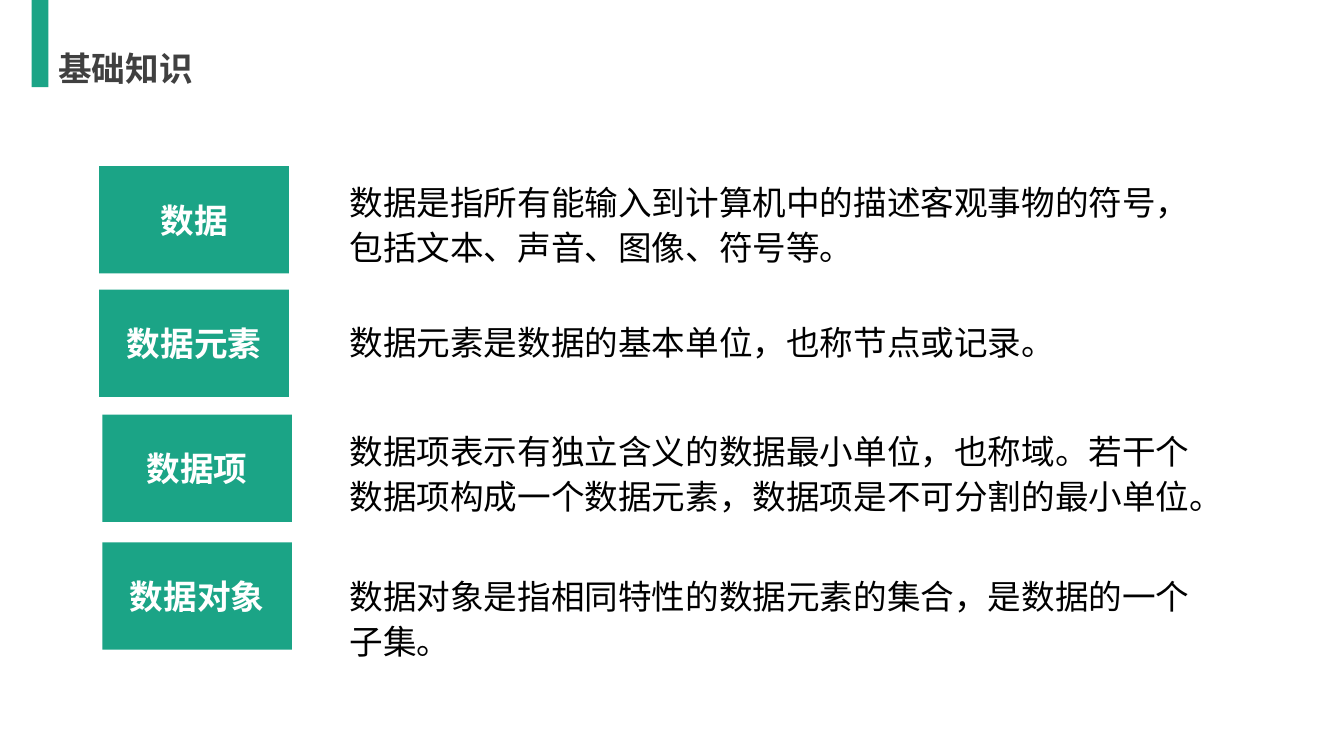
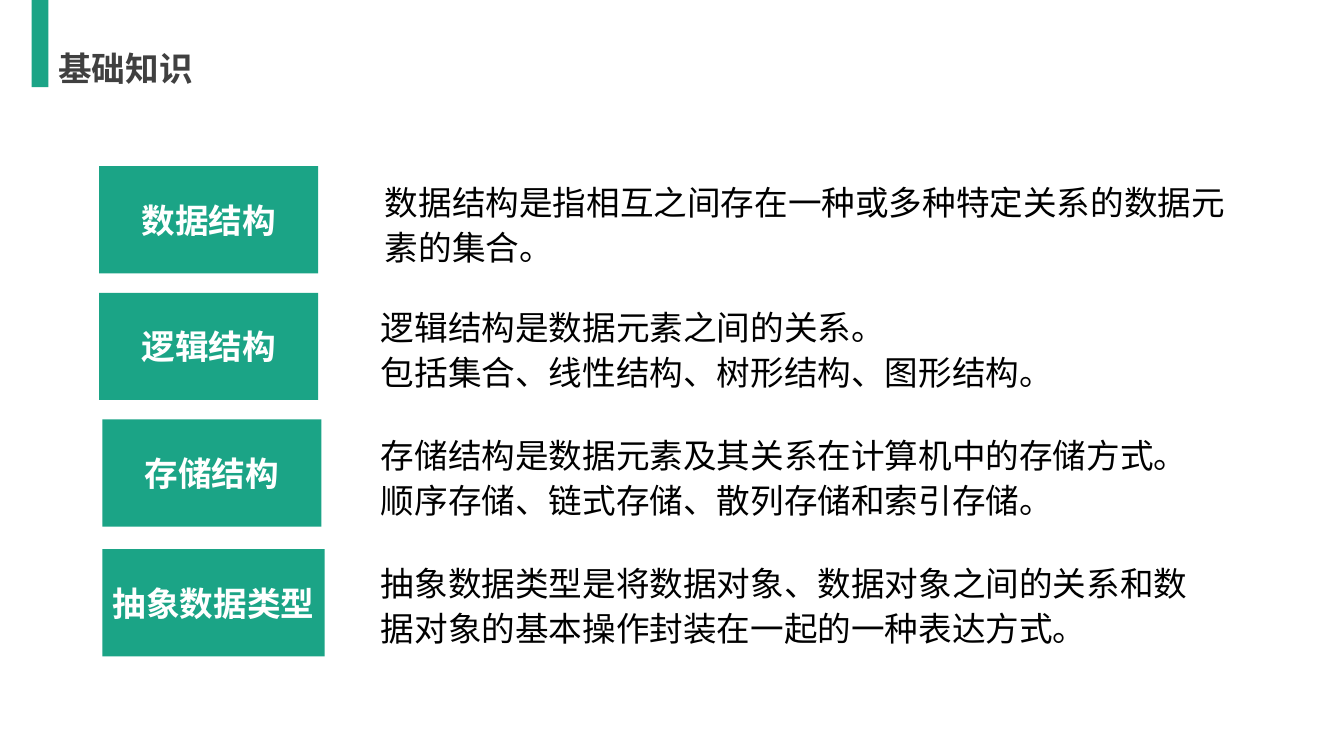
from collections import namedtuple

from lxml import etree
from pptx import Presentation
from pptx.dml.color import RGBColor
from pptx.enum.shapes import MSO_SHAPE
from pptx.enum.text import MSO_ANCHOR, MSO_AUTO_SIZE, PP_ALIGN
from pptx.oxml.ns import qn
from pptx.util import Cm, Pt

RECTANGLE = MSO_SHAPE.RECTANGLE
MIDDLE = MSO_ANCHOR.MIDDLE
CENTER = PP_ALIGN.CENTER
GROW = MSO_AUTO_SIZE.SHAPE_TO_FIT_TEXT

COLORS = {"green": "1BA486", "title": "404040", "text": "000000", "white": "FFFFFF"}
FONT = "Noto Sans CJK SC"
FONT_SIZE = Pt(24)
LINE_SPACING = Pt(32)
TAG_HEIGHT = 2.7
LINE_HEIGHT = 1.2

# Lengths in cm; a Term is one row: a green tag and its definition
Box = namedtuple("Box", "left top width")
Term = namedtuple("Term", "name tag definition lines paragraphs")

PAGES = [
    ("基础知识", [
        Term("数据", Box(2.5, 4.19, 4.78), Box(8.56, 4.34, 21.77), 2,
             ["数据是指所有能输入到计算机中的描述客观事物的符号，包括文本、声音、图像、符号等。"]),
        Term("数据元素", Box(2.5, 7.3, 4.78), Box(8.56, 7.87, 21.77), 1,
             ["数据元素是数据的基本单位，也称节点或记录。"]),
        Term("数据项", Box(2.58, 10.45, 4.78), Box(8.56, 10.62, 21.84), 2,
             ["数据项表示有独立含义的数据最小单位，也称域。若干个数据项构成一个数据元素，"
              "数据项是不可分割的最小单位。"]),
        Term("数据对象", Box(2.58, 13.67, 4.78), Box(8.56, 14.27, 21.84), 2,
             ["数据对象是指相同特性的数据元素的集合，是数据的一个子集。"]),
    ]),
    ("基础知识", [
        Term("数据结构", Box(2.5, 4.19, 5.52), Box(9.45, 4.34, 21.67), 2,
             ["数据结构是指相互之间存在一种或多种特定关系的数据元素的集合。"]),
        Term("逻辑结构", Box(2.5, 7.38, 5.52), Box(9.35, 7.49, 20.98), 2,
             ["逻辑结构是数据元素之间的关系。",
              "包括集合、线性结构、树形结构、图形结构。"]),
        Term("存储结构", Box(2.58, 10.57, 5.52), Box(9.35, 10.72, 21.06), 2,
             ["存储结构是数据元素及其关系在计算机中的存储方式。",
              "顺序存储、链式存储、散列存储和索引存储。"]),
        Term("抽象数据类型", Box(2.58, 13.84, 5.6), Box(9.35, 13.94, 21.06), 2,
             ["抽象数据类型是将数据对象、数据对象之间的关系和数据对象的基本操作"
              "封装在一起的一种表达方式。"]),
    ]),
]


def color(name):
    return RGBColor.from_string(COLORS[name])


def add_span(para, text, color_name, bold=False):
    span = para.add_run()
    span.text = text
    font = span.font
    font.size, font.bold, font.name = FONT_SIZE, bold, FONT
    font.color.rgb = color(color_name)
    # The East Asian typeface follows the Latin one
    latin = span._r.get_or_add_rPr().find(qn("a:latin"))
    east_asian = etree.Element(qn("a:ea"), typeface=FONT)
    latin.addnext(east_asian)


def add_rectangle(shapes, box, height):
    shape = shapes.add_shape(RECTANGLE, Cm(box.left), Cm(box.top),
                             Cm(box.width), Cm(height))
    shape.shadow.inherit = False
    shape.fill.solid()
    shape.fill.fore_color.rgb = color("green")
    shape.line.fill.background()
    return shape


def add_text_box(shapes, box, height, wrap):
    frame = shapes.add_textbox(Cm(box.left), Cm(box.top),
                               Cm(box.width), Cm(height)).text_frame
    frame.word_wrap = wrap
    frame.auto_size = GROW
    return frame


def add_header(page, title):
    # Green bar hanging from the top edge, with the title beside it
    add_rectangle(page.shapes, Box(0.8, 0, 0.42), 2.2)
    frame = add_text_box(page.shapes, Box(1.22, 1.08, 3.94), 1.28, wrap=False)
    add_span(frame.paragraphs[0], title, "title", bold=True)


def add_definition(shapes, box, lines, paragraphs):
    frame = add_text_box(shapes, box, lines * LINE_HEIGHT, wrap=True)
    for index, text in enumerate(paragraphs):
        para = frame.add_paragraph() if index else frame.paragraphs[0]
        para.line_spacing = LINE_SPACING
        add_span(para, text, "text")


def add_tag(shapes, box, name):
    frame = add_rectangle(shapes, box, TAG_HEIGHT).text_frame
    frame.word_wrap = True
    frame.margin_left = frame.margin_right = Cm(0.1)
    frame.vertical_anchor = MIDDLE
    para = frame.paragraphs[0]
    para.alignment = CENTER
    add_span(para, name, "white", bold=True)


def add_term(page, term):
    shapes = page.shapes.add_group_shape().shapes
    add_definition(shapes, term.definition, term.lines, term.paragraphs)
    add_tag(shapes, term.tag, term.name)


def add_terms_page(deck, title, terms):
    page = deck.slides.add_slide(deck.slide_layouts[6])
    add_header(page, title)
    for term in terms:
        add_term(page, term)


def main():
    deck = Presentation()
    deck.slide_width, deck.slide_height = Cm(33.87), Cm(19.05)
    for title, terms in PAGES:
        add_terms_page(deck, title, terms)
    deck.save("out.pptx")


if __name__ == "__main__":
    main()
